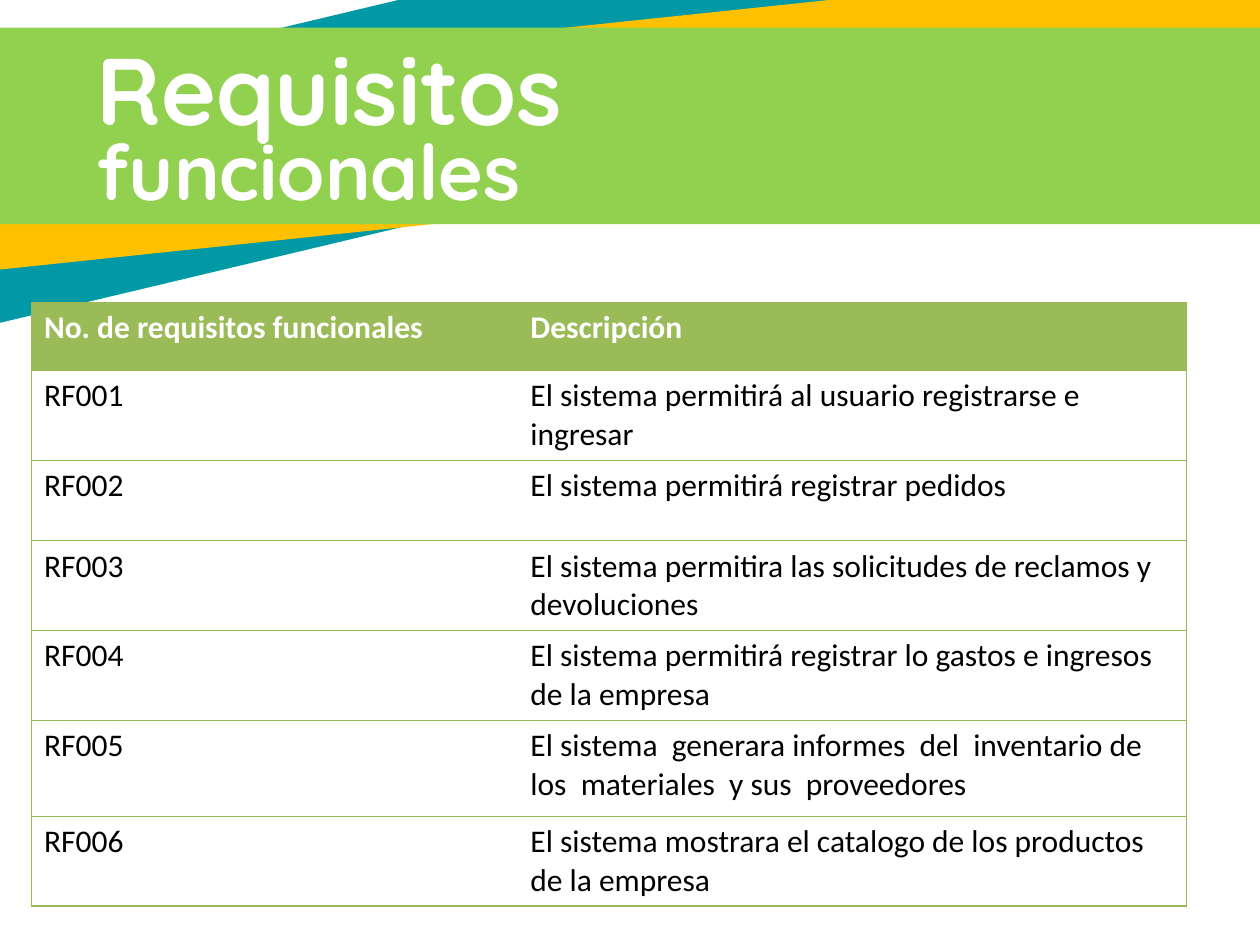
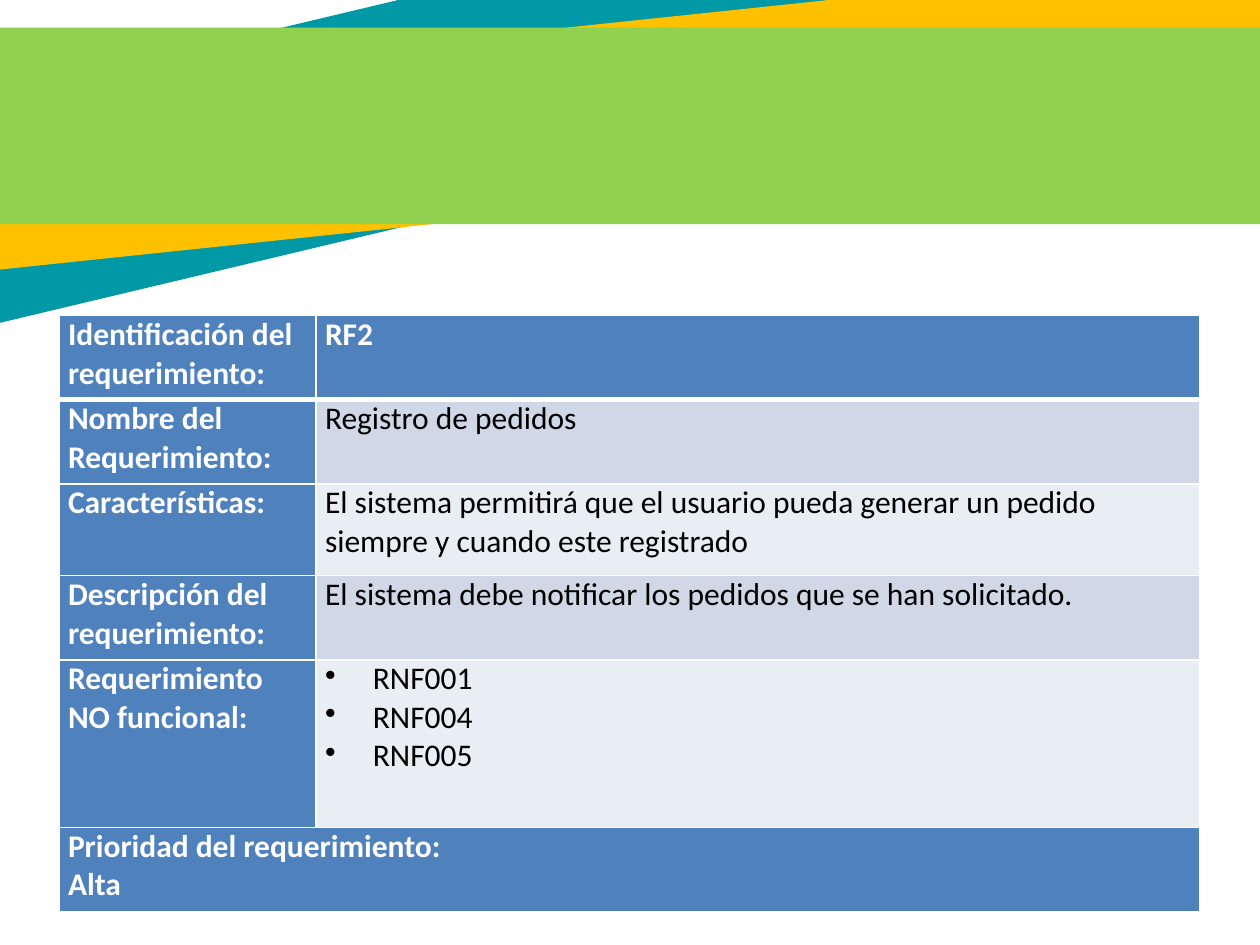
from dataclasses import dataclass
from lxml.etree import SubElement
from pptx import Presentation
from pptx.dml.color import RGBColor
from pptx.enum.shapes import MSO_SHAPE
from pptx.enum.text import MSO_ANCHOR
from pptx.oxml.ns import qn
from pptx.util import Inches, Pt


@dataclass(frozen=True)
class Theme:
    teal: str = "0099A5"
    amber: str = "FFC000"
    green: str = "92D050"
    olive: str = "9BBB59"
    olive_line: str = "98B955"
    blue: str = "4F81BD"
    stripes: tuple = ("E9EDF4", "D0D8E8")
    white: str = "FFFFFF"
    black: str = "000000"
    title_font: str = "Quicksand"
    body_font: str = "Calibri"
    title_sizes: tuple = (54, 44)
    body_size: int = 18


theme = Theme()
presentation = Presentation()
presentation.slide_width = Inches(10)
presentation.slide_height = Inches(7.5)
column = presentation.slide_width / 100
row = presentation.slide_height / 100


def format_text(text_frame, font_name, size, color, bold):
    for paragraph in text_frame.paragraphs:
        for run in paragraph.runs:
            run.font.name = font_name
            run.font.size = Pt(size)
            run.font.bold = bold
            run.font.color.rgb = RGBColor.from_string(color)


def style_cell(cell, fill, is_heading, borders):
    if fill:
        cell.fill.solid()
        cell.fill.fore_color.rgb = RGBColor.from_string(fill)
    else:
        cell.fill.background()
    properties = cell._tc.get_or_add_tcPr()
    for position, side in enumerate("LRTB"):
        color, width = borders.get(side, (None, 0))
        line = SubElement(properties, qn("a:ln" + side), w=str(Pt(width)))
        if color:
            solid = SubElement(line, qn("a:solidFill"))
            SubElement(solid, qn("a:srgbClr"), val=color)
        else:
            SubElement(line, qn("a:noFill"))
        properties.insert(position, line)
    color = theme.white if is_heading else theme.black
    format_text(cell.text_frame, theme.body_font, theme.body_size, color, is_heading)


bands = [
    (theme.teal, 346.6, -25.1, -2.4, 130.6, 23.47),
    (theme.amber, 354, -11, 2.67, 116.3, 19.2),
    (theme.green, 0, -10.6, 2.93, 116.3, 20.8),
]
titles = [
    ("Requisitos", 3.87, 41.6, 10.93),
    ("funcionales", 14.8, 39.4, 6.4),
]
requirements = [
    ("No. de requisitos funcionales", "Descripción"),
    ("RF001", "El sistema permitirá al usuario registrarse e ingresar"),
    ("RF002", "El sistema permitirá registrar pedidos"),
    ("RF003", "El sistema permitira las solicitudes de reclamos y devoluciones"),
    ("RF004", "El sistema permitirá registrar lo gastos e ingresos de la empresa"),
    ("RF005", "El sistema  generara informes  del  inventario de los  materiales  y sus  proveedores"),
    ("RF006", "El sistema mostrara el catalogo de los productos de la empresa"),
]
order_details = [
    ("Identificación del requerimiento:", "RF2"),
    ("Nombre del Requerimiento:", "Registro de pedidos"),
    ("Características:", "El sistema permitirá que el usuario pueda generar un pedido siempre y cuando este registrado"),
    ("Descripción del requerimiento:", "El sistema debe notificar los pedidos que se han solicitado."),
    ("Requerimiento NO funcional:", "RNF001\nRNF004\nRNF005"),
    ("Prioridad del requerimiento:\nAlta", ""),
]
layouts = [
    (requirements, 2.5, 32, (38.6, 53.1), (7.2, 9.5, 8.55, 9.5, 9.5, 10.15, 9.5)),
    (order_details, 4.7, 33.4, (20.4, 70.1), (8.9, 8.9, 9.73, 8.9, 17.73, 8.9)),
]

tables = []
for entries, left, top, widths, heights in layouts:
    slide = presentation.slides.add_slide(presentation.slide_layouts[6])
    for color, rotation, band_left, band_top, width, height in bands:
        band = slide.shapes.add_shape(
            MSO_SHAPE.RECTANGLE, int(band_left * column), int(band_top * row),
            int(width * column), int(height * row))
        band.rotation = rotation
        band.shadow.inherit = False
        band.fill.solid()
        band.fill.fore_color.rgb = RGBColor.from_string(color)
        band.line.fill.background()
    table = slide.shapes.add_table(
        len(entries), 2, int(left * column), int(top * row),
        int(sum(widths) * column), int(sum(heights) * row)).table
    table.first_row = False
    table.horz_banding = False
    for table_column, width in zip(table.columns, widths):
        table_column.width = int(width * column)
    for table_row, height, texts in zip(table.rows, heights, entries):
        table_row.height = int(height * row)
        for cell, text in zip(table_row.cells, texts):
            cell.text_frame.text = text
    tables.append(table)

requirements_table, order_table = tables

for (text, top, width, height), size in zip(titles, theme.title_sizes):
    title = presentation.slides[0].shapes.add_textbox(
        int(6.7 * column), int(top * row), int(width * column), int(height * row))
    title.text_frame.word_wrap = True
    title.text_frame.vertical_anchor = MSO_ANCHOR.MIDDLE
    title.text_frame.text = text
    format_text(title.text_frame, theme.title_font, size, theme.white, True)

outline = (theme.olive_line, 0.75)
for row_index, table_row in enumerate(requirements_table.rows):
    is_heading = row_index == 0
    for cell, outer_side in zip(table_row.cells, "LR"):
        borders = {side: outline for side in outer_side + "TB"}
        style_cell(cell, theme.olive if is_heading else None, is_heading, borders)

last_row = len(order_details) - 1
order_table.cell(last_row, 0).merge(order_table.cell(last_row, 1))
for row_index, table_row in enumerate(order_table.rows):
    for column_index, cell in enumerate(table_row.cells):
        is_heading = column_index == 0 or row_index in (0, last_row)
        fill = theme.blue if is_heading else theme.stripes[row_index % 2]
        borders = {side: (theme.white, 1) for side in "LRTB"}
        if row_index == 0:
            borders["B"] = (theme.white, 3)
        elif row_index == 1:
            borders["T"] = (theme.white, 3)
        cell.margin_left = cell.margin_right = Inches(0.07)
        cell.margin_top = cell.margin_bottom = 0
        style_cell(cell, fill, is_heading, borders)

for paragraph in order_table.cell(4, 1).text_frame.paragraphs:
    properties = paragraph._p.get_or_add_pPr()
    properties.set("marL", str(Inches(0.38)))
    properties.set("indent", str(Inches(-0.38)))
    SubElement(properties, qn("a:buChar"), char="•")
    tabs = SubElement(properties, qn("a:tabLst"))
    SubElement(tabs, qn("a:tab"), pos=str(Inches(0.49)), algn="l")

presentation.save("out.pptx")
